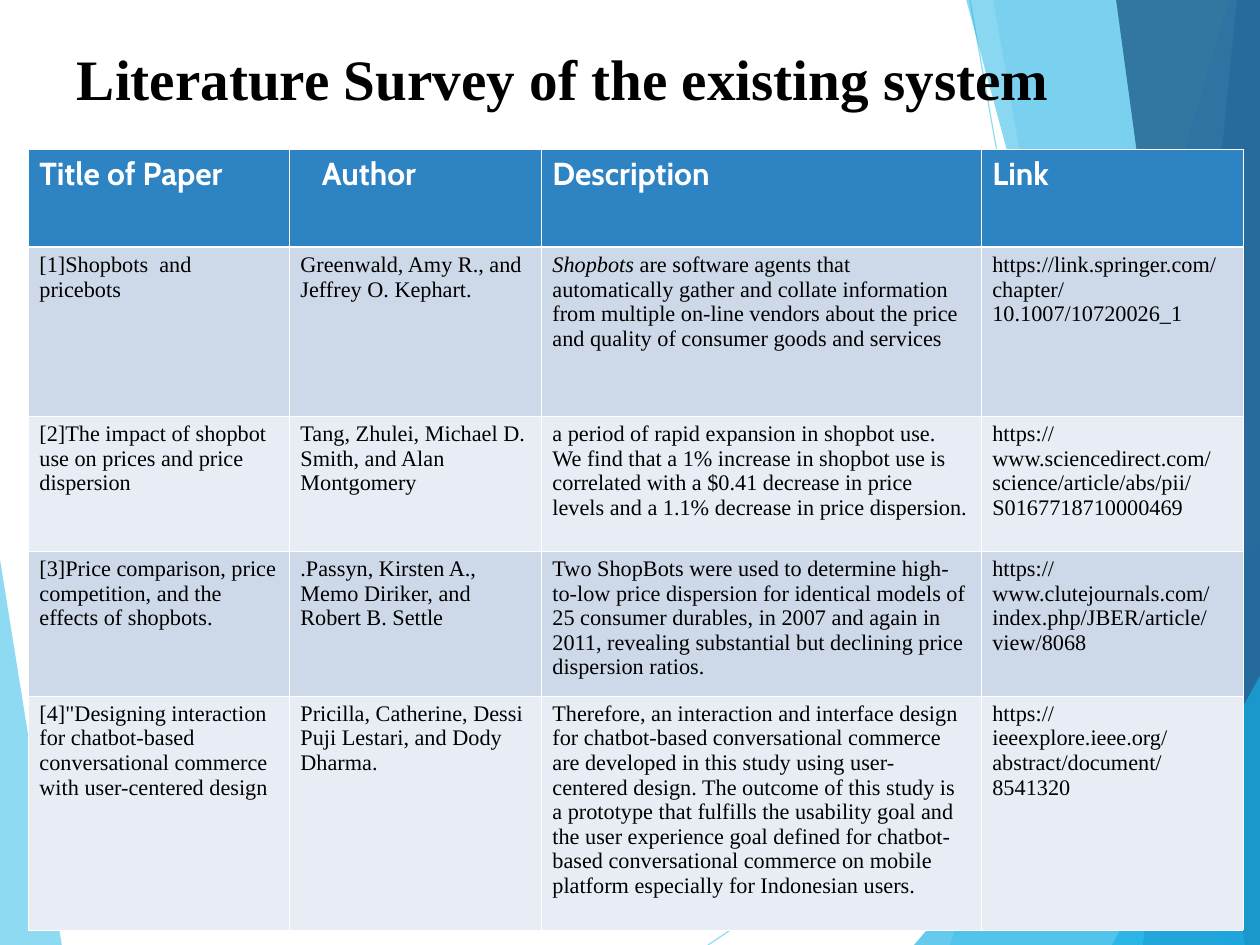
from lxml.etree import SubElement
from pptx import Presentation
from pptx.dml.color import RGBColor
from pptx.enum.shapes import MSO_CONNECTOR
from pptx.enum.text import MSO_ANCHOR
from pptx.oxml.ns import qn
from pptx.util import Emu, Pt

PX = 8000  # EMU per px
WIDTH, HEIGHT = 1260, 945
EDGE = WIDTH + 1

WHITE = RGBColor(0xFF, 0xFF, 0xFF)
BLACK = RGBColor(0x00, 0x00, 0x00)
SKY = RGBColor(0x5F, 0xCB, 0xEF)
CYAN = RGBColor(0x17, 0xB0, 0xE4)
BLUE = RGBColor(0x2E, 0x83, 0xC3)
NAVY = RGBColor(0x23, 0x62, 0x92)
BAND_DARK = RGBColor(0xCD, 0xD9, 0xE9)
BAND_LIGHT = RGBColor(0xE8, 0xED, 0xF5)

# Background facets: colour, opacity in percent, corners
LEFT_FACET = (SKY, 70, [(-1, 553), (62, 946), (-1, 945)])
RIGHT_FACETS = [
    (SKY, 36, [(1229, 0), (950, HEIGHT), (EDGE, HEIGHT), (EDGE, 0)]),
    (SKY, 20, [(993, -1), (1159, HEIGHT), (EDGE, HEIGHT), (EDGE, -1)]),
    (CYAN, 66, [(914, HEIGHT), (EDGE, 541), (EDGE, HEIGHT)]),
    (CYAN, 50, [(966, -1), (1222, HEIGHT), (EDGE, HEIGHT), (EDGE, -1)]),
    (BLUE, 70, [(1237, -1), (1143, HEIGHT), (EDGE, HEIGHT), (EDGE, -1)]),
    (NAVY, 82, [(1116, -1), (1245, HEIGHT), (EDGE, HEIGHT), (EDGE, -1)]),
    (CYAN, 66, [(1112, HEIGHT), (EDGE, 674), (EDGE, HEIGHT)]),
]
RAYS = [(708, HEIGHT, EDGE, 575), (970, 0, 1138, HEIGHT)]

COLUMN_WIDTHS = [261, 252, 440, 262]
ROW_HEIGHTS = [98, 169, 135, 142, 234]
HEADER = ["Title of Paper", "Author", "Description", "Link"]
PAPERS = [
    ["[1]Shopbots  and pricebots",
     "Greenwald, Amy R., and Jeffrey O. Kephart.",
     "Shopbots are software agents that automatically gather and collate "
     "information from multiple on-line vendors about the price and quality "
     "of consumer goods and services",
     "https://link.springer.com/chapter/10.1007/10720026_1"],
    ["[2]The impact of shopbot use on prices and price dispersion",
     "Tang, Zhulei, Michael D. Smith, and Alan Montgomery",
     "a period of rapid expansion in shopbot use. We find that a 1% increase "
     "in shopbot use is correlated with a $0.41 decrease in price levels and "
     "a 1.1% decrease in price dispersion.",
     "https://www.sciencedirect.com/science/article/abs/pii/S0167718710000469"],
    ["[3]Price comparison, price competition, and the effects of shopbots.",
     ".Passyn, Kirsten A., Memo Diriker, and Robert B. Settle",
     "Two ShopBots were used to determine high-to-low price dispersion for "
     "identical models of 25 consumer durables, in 2007 and again in 2011, "
     "revealing substantial but declining price dispersion ratios.",
     "https://www.clutejournals.com/index.php/JBER/article/view/8068"],
    ["[4]\"Designing interaction for chatbot-based conversational commerce "
     "with user-centered design",
     "Pricilla, Catherine, Dessi Puji Lestari, and Dody Dharma.",
     "Therefore, an interaction and interface design for chatbot-based "
     "conversational commerce are developed in this study using "
     "user-centered design. The outcome of this study is a prototype that "
     "fulfills the usability goal and the user experience goal defined for "
     "chatbot-based conversational commerce on mobile platform especially "
     "for Indonesian users.",
     "https://ieeexplore.ieee.org/abstract/document/8541320"],
]


def px(*lengths):
    return [Emu(length * PX) for length in lengths]


class SlideBuilder:
    body_font = "Times New Roman"
    header_font = "Cabin"
    thin, thick = Pt(0.45), Pt(1.47)

    def __init__(self, slide):
        self.slide = slide
        self.shapes = slide.shapes

    def set_opacity(self, shape, percent):
        for color in shape._element.iter(qn("a:srgbClr")):
            SubElement(color, qn("a:alpha"), val=str(percent * 1000))

    def style(self, paragraph, font_name, size, color, bold=False):
        for run in paragraph.runs:
            run.font.name = font_name
            run.font.size = Pt(size)
            run.font.bold = bold
            run.font.color.rgb = color

    def facet(self, color, opacity, corners):
        builder = self.shapes.build_freeform(*corners[0], scale=float(PX))
        builder.add_line_segments(corners[1:], close=True)
        shape = builder.convert_to_shape()
        shape.shadow.inherit = False
        shape.fill.solid()
        shape.fill.fore_color.rgb = color
        shape.line.fill.background()
        self.set_opacity(shape, opacity)

    def ray(self, *ends):
        connector = self.shapes.add_connector(MSO_CONNECTOR.STRAIGHT, *px(*ends))
        connector.line.color.rgb = SKY
        connector.line.width = Pt(0.75)
        self.set_opacity(connector, 70)
        SubElement(connector._element.spPr, qn("a:effectLst"))

    def title(self, text, left, top, width, height):
        box = self.shapes.add_textbox(*px(left, top, width, height))
        frame = box.text_frame
        frame.word_wrap = True
        frame.vertical_anchor = MSO_ANCHOR.MIDDLE
        frame.margin_left, frame.margin_top = px(14, 3)
        frame.margin_right = frame.margin_bottom = 0
        frame.text = text
        paragraph = frame.paragraphs[0]
        paragraph.line_spacing = 0.93
        self.style(paragraph, self.body_font, 36, BLACK, bold=True)

    def borders(self, cell, top, bottom):
        properties = cell._tc.get_or_add_tcPr()
        widths = {"L": self.thin, "R": self.thin, "T": top, "B": bottom}
        for side, width in widths.items():
            line = SubElement(properties, qn(f"a:ln{side}"), w=str(int(width)))
            fill = SubElement(line, qn("a:solidFill"))
            SubElement(fill, qn("a:srgbClr"), val=str(WHITE))

    def cell(self, cell, text, row):
        self.borders(cell,
                     top=self.thick if row == 1 else self.thin,
                     bottom=self.thick if row == 0 else self.thin)
        cell.fill.solid()
        paragraph = cell.text_frame.paragraphs[0]
        paragraph.text = text
        if row == 0:
            cell.fill.fore_color.rgb = BLUE
            self.style(paragraph, self.header_font, 20, WHITE, bold=True)
        else:
            cell.fill.fore_color.rgb = BAND_DARK if row % 2 else BAND_LIGHT
            self.style(paragraph, self.body_font, 14, BLACK)

    def table(self, rows, left, top):
        frame = self.shapes.add_table(
            len(rows), len(COLUMN_WIDTHS),
            *px(left, top, sum(COLUMN_WIDTHS), sum(ROW_HEIGHTS)))
        table = frame.table
        for column, width in zip(table.columns, px(*COLUMN_WIDTHS)):
            column.width = width
        for row, height in zip(table.rows, px(*ROW_HEIGHTS)):
            row.height = height
        for row, texts in enumerate(rows):
            for column, text in enumerate(texts):
                self.cell(table.cell(row, column), text, row)
        return table

    def italic_lead(self, cell, lead):
        paragraph = cell.text_frame.paragraphs[0]
        rest = paragraph.runs[0].text[len(lead):]
        paragraph.text = lead
        paragraph.add_run().text = rest
        self.style(paragraph, self.body_font, 14, BLACK)
        paragraph.runs[0].font.italic = True


def main():
    presentation = Presentation()
    presentation.slide_width, presentation.slide_height = px(WIDTH, HEIGHT)
    slide = presentation.slides.add_slide(presentation.slide_layouts[6])
    builder = SlideBuilder(slide)

    # Background decoration
    builder.facet(*LEFT_FACET)
    for ray in RAYS:
        builder.ray(*ray)
    for facet in RIGHT_FACETS:
        builder.facet(*facet)

    # Title
    builder.title("Literature Survey of the existing system", 63, 1, 1134, 158)

    # Survey table
    table = builder.table([HEADER] + PAPERS, 28, 149)
    table.cell(0, 1).margin_left = Emu(33 * PX)
    builder.italic_lead(table.cell(1, 2), "Shopbots")

    presentation.save("out.pptx")


if __name__ == "__main__":
    main()
